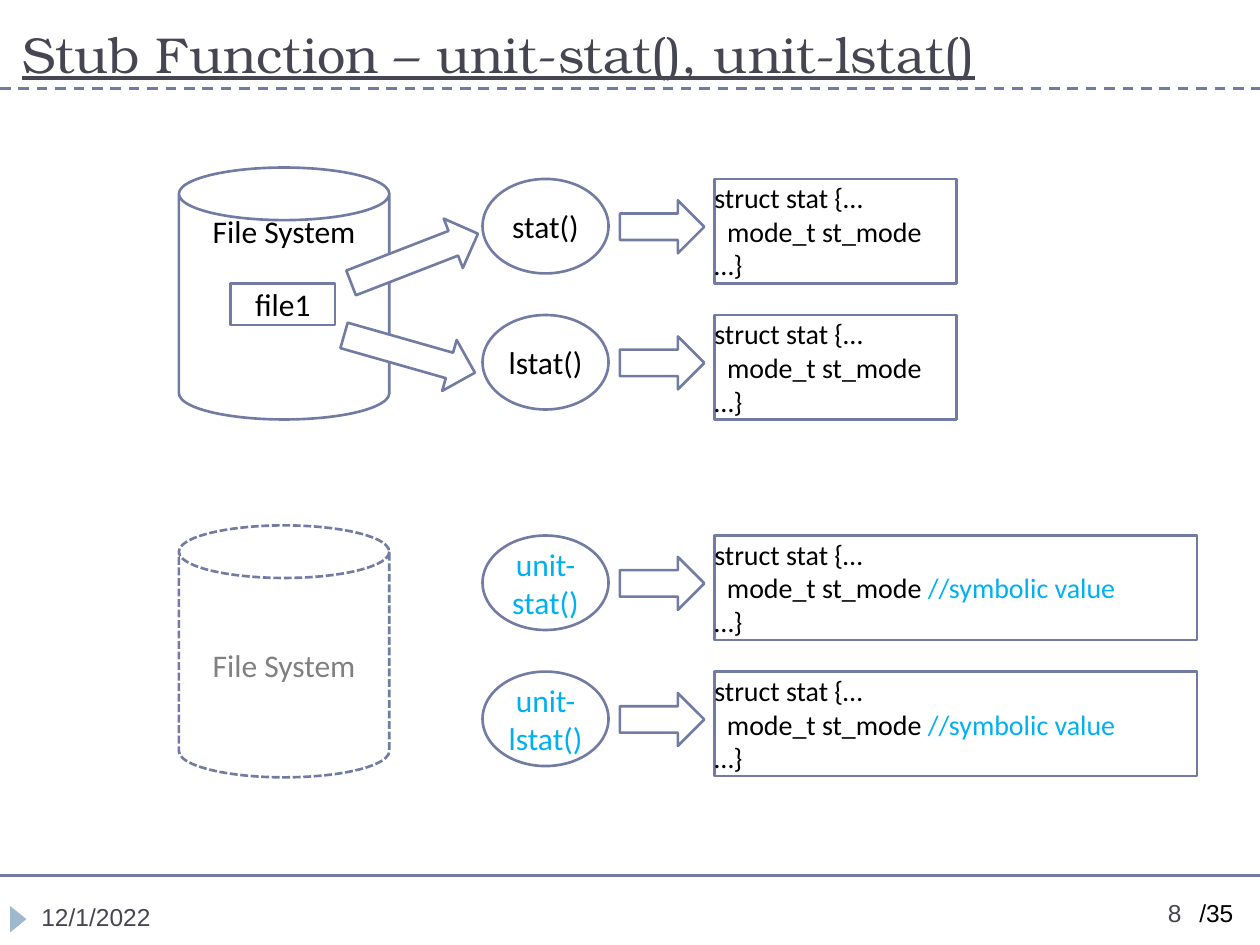
from lxml import etree
from pptx import Presentation
from pptx.dml.color import RGBColor
from pptx.enum.dml import MSO_LINE
from pptx.enum.shapes import MSO_CONNECTOR, MSO_SHAPE
from pptx.enum.text import MSO_ANCHOR, PP_ALIGN
from pptx.oxml.ns import qn
from pptx.util import Inches, Pt

WHITE = "FFFFFF"
BLACK = "000000"
GRAY = "808080"
SLATE = "727CA3"
INK = "464653"
CYAN = "00B0F0"
LIGHT_BLUE = "9FB8CD"


def color(value):
    return RGBColor.from_string(value)


def set_font(font, name, size, value):
    font.name = name
    font.size = Pt(size)
    font.color.rgb = color(value)


def add_rule(page, top, dash=None):
    rule = page.shapes.add_connector(
        MSO_CONNECTOR.STRAIGHT, Inches(0), Inches(top), Inches(10), Inches(top)
    )
    rule.line.color.rgb = color(SLATE)
    rule.line.width = Pt(1.5)
    if dash:
        rule.line.dash_style = dash
    etree.SubElement(rule._element.spPr, qn("a:effectLst"))


def add_label(page, text, left, top, width, height, size=14, name="Arial", value=INK):
    box = page.shapes.add_textbox(Inches(left), Inches(top), Inches(width), Inches(height))
    paragraph = box.text_frame.paragraphs[0]
    paragraph.text = text
    set_font(paragraph.font, name, size, value)
    return box


def add_title(page, text):
    box = add_label(page, text, 0.08, 0.17, 9.84, 0.54, 28.8, "TeX Gyre Bonum")
    box.text_frame.word_wrap = True
    box.text_frame.vertical_anchor = MSO_ANCHOR.BOTTOM
    box.text_frame.paragraphs[0].font.underline = True


def add_outlined(page, kind, left, top, width, height, rotation=0):
    shape = page.shapes.add_shape(
        kind, Inches(left), Inches(top), Inches(width), Inches(height)
    )
    shape.rotation = rotation
    shape.shadow.inherit = False
    shape.fill.solid()
    shape.fill.fore_color.rgb = color(WHITE)
    shape.line.color.rgb = color(SLATE)
    shape.line.width = Pt(1.5)
    frame = shape.text_frame
    frame.word_wrap = True
    frame.vertical_anchor = MSO_ANCHOR.MIDDLE
    frame.margin_left = frame.margin_right = frame.margin_top = frame.margin_bottom = 0
    return shape


def add_node(page, kind, text, left, top, width, height, value=BLACK):
    shape = add_outlined(page, kind, left, top, width, height)
    paragraph = shape.text_frame.paragraphs[0]
    paragraph.text = text
    paragraph.alignment = PP_ALIGN.CENTER
    set_font(paragraph.font, "Calibri", 18, value)
    return shape


def add_struct(page, top, width, comment):
    shape = add_outlined(page, MSO_SHAPE.RECTANGLE, 5.67, top, width, 0.83)
    frame = shape.text_frame
    member = "  mode_t st_mode"
    for index, line in enumerate(("struct stat {…", member, "…}")):
        paragraph = frame.add_paragraph() if index else frame.paragraphs[0]
        paragraph.text = line
        paragraph.alignment = PP_ALIGN.LEFT
        set_font(paragraph.font, "Calibri", 16, BLACK)
        if comment and line == member:
            span = paragraph.add_run()
            span.text = " " + comment
            span.font.color.rgb = color(CYAN)


def add_call(page, top, name, value, width, comment=""):
    add_node(page, MSO_SHAPE.OVAL, name, 3.83, top, 1, 0.75, value)
    add_outlined(page, MSO_SHAPE.RIGHT_ARROW, 4.92, top + 0.17, 0.67, 0.42)
    add_struct(page, top, width, comment)


def add_footer(page):
    marker = add_outlined(page, MSO_SHAPE.ISOSCELES_TRIANGLE, 0.04, 7.23, 0.21, 0.13, 90)
    marker.fill.fore_color.rgb = color(LIGHT_BLUE)
    marker.line.fill.background()
    add_label(page, "/35", 9.42, 7.08, 0.47, 0.34, value=BLACK)
    add_label(page, "12/1/2022", 0.23, 7.11, 1.41, 0.32)
    add_label(page, "8", 9.17, 7.08, 0.5, 0.32)


def main():
    deck = Presentation()
    deck.slide_width = Inches(10)
    deck.slide_height = Inches(7.5)
    page = deck.slides.add_slide(deck.slide_layouts[6])

    add_rule(page, 6.95)
    add_rule(page, 0.7, MSO_LINE.DASH)
    add_footer(page)
    add_title(page, "Stub Function – unit-stat(), unit-lstat()")

    disk = add_node(page, MSO_SHAPE.CAN, "File System", 1.42, 1.33, 1.67, 2)
    disk.text_frame.margin_bottom = Inches(1.2)
    add_node(page, MSO_SHAPE.RECTANGLE, "file1", 1.83, 2.25, 0.83, 0.33)
    stub_disk = add_node(page, MSO_SHAPE.CAN, "File System", 1.42, 4.17, 1.67, 2, GRAY)
    stub_disk.line.dash_style = MSO_LINE.SQUARE_DOT

    add_call(page, 1.42, "stat()", BLACK, 1.92)
    add_call(page, 2.5, "lstat()", BLACK, 1.92)
    add_call(page, 4.25, "unit-stat()", CYAN, 3.83, "//symbolic value")
    add_call(page, 5.33, "unit-lstat()", CYAN, 3.83, "//symbolic value")
    add_outlined(page, MSO_SHAPE.RIGHT_ARROW, 2.75, 1.84, 1.08, 0.42, 338.8)
    add_outlined(page, MSO_SHAPE.RIGHT_ARROW, 2.71, 2.6, 1.08, 0.42, 15.9)

    deck.save("out.pptx")


if __name__ == "__main__":
    main()
